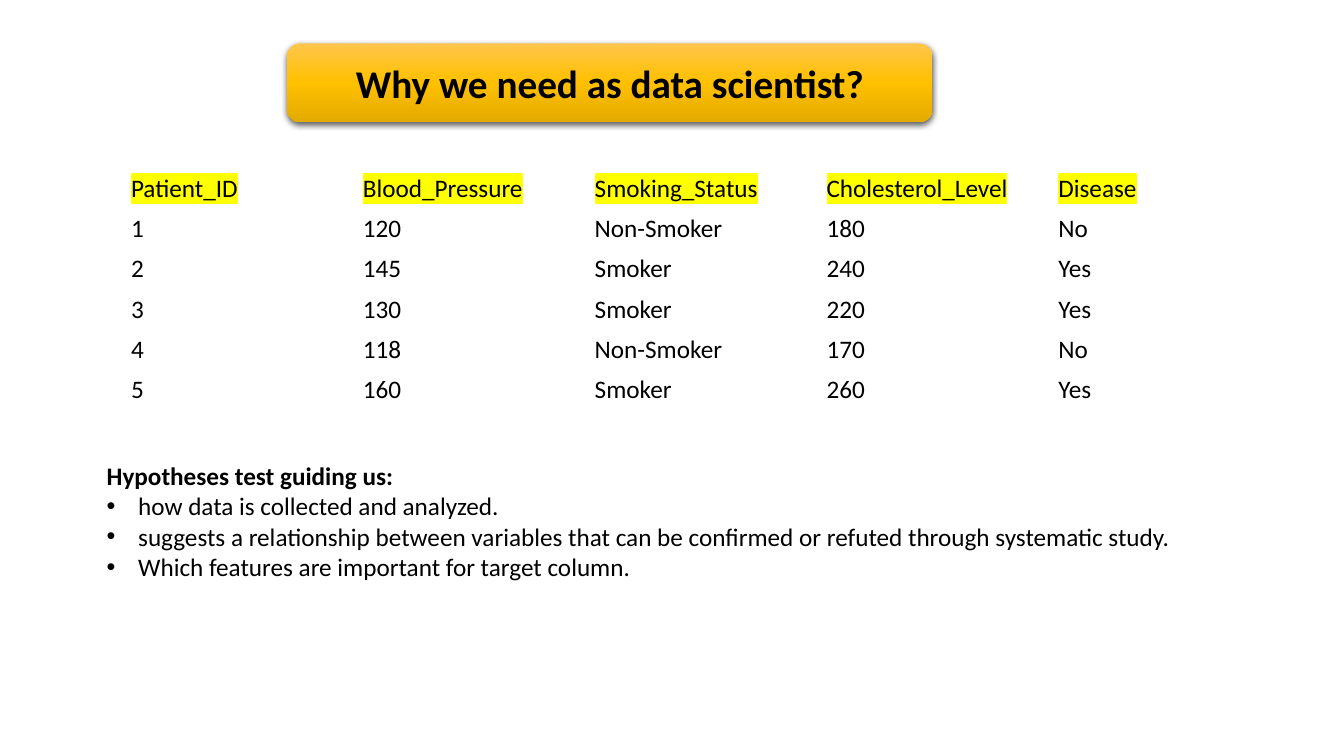
"""Build the slide on why data scientists need hypothesis tests."""
from copy import deepcopy
from dataclasses import dataclass
from typing import NamedTuple

from lxml.etree import SubElement
from pptx import Presentation
from pptx.dml.color import RGBColor
from pptx.enum.shapes import MSO_SHAPE
from pptx.enum.text import MSO_ANCHOR, MSO_AUTO_SIZE, PP_ALIGN
from pptx.oxml.ns import qn
from pptx.slide import Slide
from pptx.text.text import _Paragraph
from pptx.util import Pt


@dataclass(frozen=True)
class Theme:
    """Colours and type sizes of the slide."""

    font: str = "Calibri"
    title_size: float = 28
    body_size: float = 18
    ink: str = "000000"
    marker: str = "FFFF00"
    banner: tuple[str, ...] = ("FFC64B", "FFC000", "E3AB00")
    shadow: str = "000000"


class Box(NamedTuple):
    """Place and size in points."""

    left: float
    top: float
    width: float
    height: float

    def lengths(self) -> list[Pt]:
        """Return the four values as lengths."""
        return [Pt(value) for value in self]


class Patient(NamedTuple):
    """One row of the patient table."""

    number: str
    pressure: str
    smoking: str
    cholesterol: str
    disease: str


THEME = Theme()
TITLE_BOX = Box(205.2, 31, 460.8, 56.2)
TABLE_BOX = Box(86.4, 120.2, 828, 172.8)
HYPOTHESES_BOX = Box(69.1, 325.4, 821.5, 94.3)
CELL_MARGIN = 3.4
BULLET_INDENT = 22.5

HEADINGS = Patient("Patient_ID", "Blood_Pressure", "Smoking_Status",
                   "Cholesterol_Level", "Disease")
PATIENTS = [
    Patient("1", "120", "Non-Smoker", "180", "No"),
    Patient("2", "145", "Smoker", "240", "Yes"),
    Patient("3", "130", "Smoker", "220", "Yes"),
    Patient("4", "118", "Non-Smoker", "170", "No"),
    Patient("5", "160", "Smoker", "260", "Yes"),
]
GUIDANCE = [
    "how data is collected and analyzed.",
    "suggests a relationship between variables that can be confirmed or "
    "refuted through systematic study.",
    "Which features are important for target column.",
]


def write(paragraph: _Paragraph, text: str, *, size: float = THEME.body_size,
          bold: bool = False, highlight: str | None = None,
          bullet: bool = False, align: PP_ALIGN = PP_ALIGN.LEFT) -> None:
    """Write formatted text into a paragraph."""
    paragraph.alignment = align
    if bullet:
        properties = paragraph._p.get_or_add_pPr()
        properties.set("marL", str(Pt(BULLET_INDENT)))
        properties.set("indent", str(-Pt(BULLET_INDENT)))
        SubElement(properties, qn("a:buFont"), typeface="Arial")
        SubElement(properties, qn("a:buChar"), char="•")
    run = paragraph.add_run()
    run.text = text
    run.font.size = Pt(size)
    run.font.bold = bold
    run.font.color.rgb = RGBColor.from_string(THEME.ink)
    if highlight:
        marking = SubElement(run._r.rPr, qn("a:highlight"))
        SubElement(marking, qn("a:srgbClr"), val=highlight)
    run.font.name = THEME.font


def add_hypotheses(slide: Slide) -> None:
    """Add the heading and the bulleted guidance."""
    frame = slide.shapes.add_textbox(*HYPOTHESES_BOX.lengths()).text_frame
    frame.word_wrap = True
    frame.auto_size = MSO_AUTO_SIZE.SHAPE_TO_FIT_TEXT
    write(frame.paragraphs[0], "Hypotheses test guiding us:", bold=True)
    for point in GUIDANCE:
        write(frame.add_paragraph(), point, bullet=True)


def add_patient_table(slide: Slide) -> None:
    """Add the patient table with marked headings."""
    rows = [HEADINGS, *PATIENTS]
    table = slide.shapes.add_table(
        len(rows), len(HEADINGS), *TABLE_BOX.lengths()).table
    table.first_row = False
    table.horz_banding = False
    for row_index, row in enumerate(rows):
        for column_index, value in enumerate(row):
            cell = table.cell(row_index, column_index)
            cell.fill.background()
            cell.vertical_anchor = MSO_ANCHOR.MIDDLE
            cell.margin_top = cell.margin_bottom = Pt(CELL_MARGIN)
            write(cell.text_frame.paragraphs[0], value,
                  highlight=THEME.marker if row is HEADINGS else None)


def add_title(slide: Slide) -> None:
    """Add the title banner with its gradient and shadow."""
    banner = slide.shapes.add_shape(
        MSO_SHAPE.ROUNDED_RECTANGLE, *TITLE_BOX.lengths())
    banner.line.fill.background()
    banner.fill.gradient()
    banner.fill.gradient_angle = 270
    properties = banner._element.spPr
    first_stop = properties.find(".//" + qn("a:gs"))
    first_stop.addnext(deepcopy(first_stop))
    stops = banner.fill.gradient_stops
    for index, (stop, colour) in enumerate(zip(stops, THEME.banner)):
        stop.position = index / 2
        stop.color.rgb = RGBColor.from_string(colour)
    banner.shadow.inherit = False
    shadow = SubElement(
        properties.find(qn("a:effectLst")), qn("a:outerShdw"),
        blurRad=str(Pt(4.5)), dist=str(Pt(1.5)), dir="5400000",
        algn="ctr", rotWithShape="0")
    colour = SubElement(shadow, qn("a:srgbClr"), val=THEME.shadow)
    SubElement(colour, qn("a:alpha"), val="63000")
    frame = banner.text_frame
    frame.word_wrap = True
    frame.vertical_anchor = MSO_ANCHOR.MIDDLE
    write(frame.paragraphs[0], "Why we need as data scientist?",
          size=THEME.title_size, bold=True, align=PP_ALIGN.CENTER)


def main() -> None:
    """Build and save the presentation."""
    presentation = Presentation()
    presentation.slide_width = Pt(960)
    presentation.slide_height = Pt(540)
    slide = presentation.slides.add_slide(presentation.slide_layouts[6])
    add_hypotheses(slide)
    add_patient_table(slide)
    add_title(slide)
    presentation.save("out.pptx")


if __name__ == "__main__":
    main()
